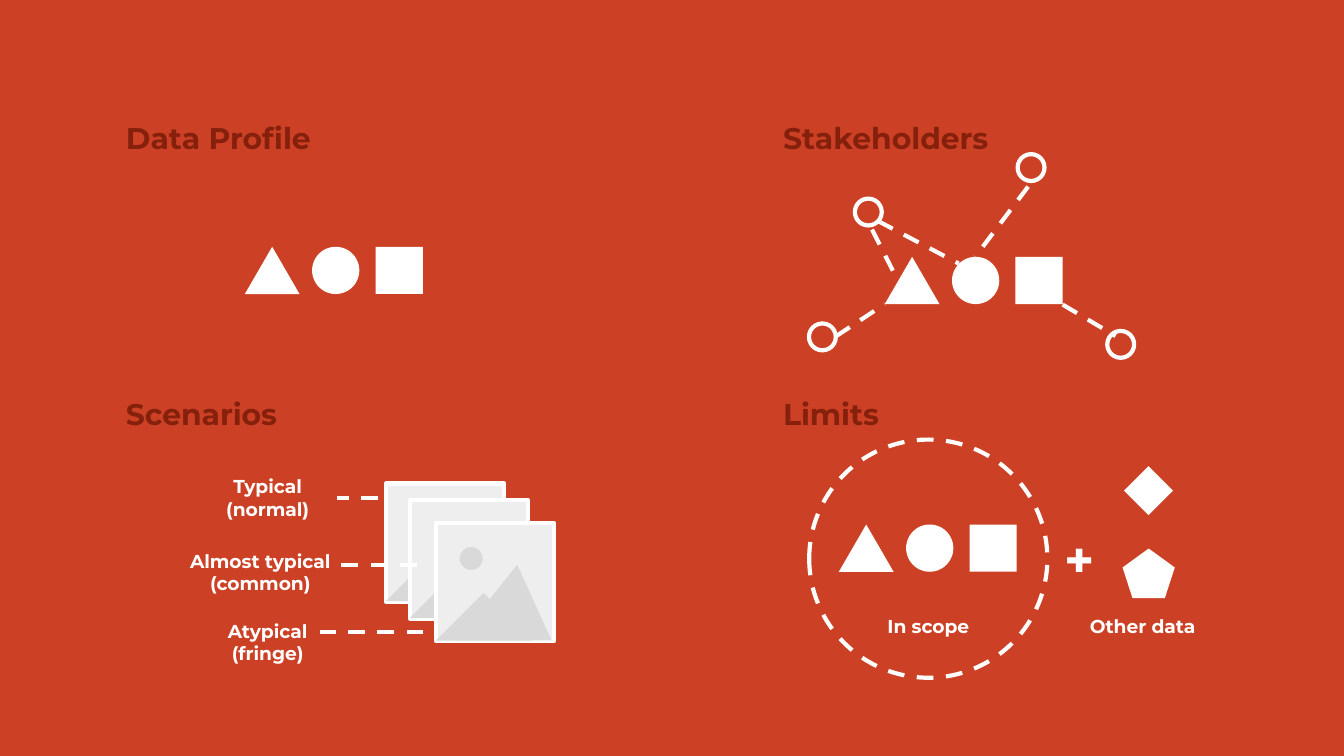
"""Build the four-part data overview slide."""
from lxml.etree import SubElement
from pptx import Presentation
from pptx.dml.color import RGBColor
from pptx.enum.dml import MSO_LINE as Dash
from pptx.enum.shapes import MSO_CONNECTOR as Link, MSO_SHAPE as Form
from pptx.enum.text import MSO_ANCHOR as Anchor, PP_ALIGN as Align
from pptx.oxml.ns import qn
from pptx.util import Pt

RED, DARK, WHITE = "CC4125", "85200C", "FFFFFF"
PALE, GRAY = "EEEEEE", "D9D9D9"


def color(code):
    return RGBColor.from_string(code)


class Deck:
    font = "Montserrat"
    weight = 2.25

    def __init__(self, wide, high):
        self.file = Presentation()
        self.file.slide_width, self.file.slide_height = Pt(wide), Pt(high)
        self.slide = self.file.slides.add_slide(self.file.slide_layouts[6])

    def stroke(self, line, dash=False):
        line.color.rgb = color(WHITE)
        line.width = Pt(self.weight)
        if dash:
            line.dash_style = Dash.DASH

    def shape(self, form, x, y, w, h, fill=WHITE, edge=False, dash=False, home=None):
        shapes = (home or self.slide).shapes
        item = shapes.add_shape(form, Pt(x), Pt(y), Pt(w), Pt(h))
        item.shadow.inherit = False
        if fill:
            item.fill.solid()
            item.fill.fore_color.rgb = color(fill)
        else:
            item.fill.background()
        if edge:
            self.stroke(item.line, dash)
        else:
            item.line.fill.background()
        return item

    def line(self, x1, y1, x2, y2):
        item = self.slide.shapes.add_connector(
            Link.STRAIGHT, Pt(x1), Pt(y1), Pt(x2), Pt(y2))
        self.stroke(item.line, True)
        SubElement(item._element.spPr, qn("a:effectLst"))

    def text(self, words, x, y, w, size=10, tint=WHITE, align=Align.CENTER):
        frame = self.slide.shapes.add_textbox(Pt(x), Pt(y), Pt(w), Pt(25.2)).text_frame
        frame.word_wrap = True
        frame.vertical_anchor = Anchor.MIDDLE
        frame.margin_left = frame.margin_right = Pt(7.2)
        frame.margin_top = frame.margin_bottom = Pt(7.2)
        frame.text = words
        for para in frame.paragraphs:
            para.alignment = align
            para.font.name, para.font.size = self.font, Pt(size)
            para.font.bold = True
            para.font.color.rgb = color(tint)

    def head(self, words, x, y):
        self.text(words, x, y, 126, 16, DARK, Align.LEFT)

    def trio(self, x, y):
        self.shape(Form.OVAL, x + 36, y, 25.3, 25.3)
        self.shape(Form.ISOSCELES_TRIANGLE, x, y, 29.3, 25.3)
        self.shape(Form.RECTANGLE, x + 70, y, 25.3, 25.3)

    def photo(self, x, y):
        group = self.slide.shapes.add_group_shape()
        self.shape(Form.RECTANGLE, x, y, 63.4, 63.4, PALE, True, home=group)
        self.shape(Form.ISOSCELES_TRIANGLE, x, y + 37.6, 51.1, 25.5, GRAY, home=group)
        peak = self.shape(Form.ISOSCELES_TRIANGLE, x + 10.9, y + 22.5, 51.1, 40.5,
                          GRAY, home=group)
        peak.adjustments[0] = 0.64
        self.shape(Form.OVAL, x + 12.8, y + 13, 12.3, 12.3, GRAY, home=group)


def main():
    wide, high = 720, 405
    left, right, top, low = 60.4, 412.4, 61.2, 208.8
    deck = Deck(wide, high)
    deck.shape(Form.RECTANGLE, 0, 0, wide, high, RED)

    deck.trio(131.2, 132.2)
    deck.head("Data Profile", left, top)

    deck.trio(474, 137.6)
    for x, y in ((458, 106.4), (433.4, 173.3), (545.2, 82.6), (593.2, 177.3)):
        deck.shape(Form.OVAL, x, y, 14.4, 14.4, None, True)
    for ends in ((447.8, 180.2, 474, 162.9), (569.3, 163.2, 597.6, 180),
                 (550.8, 100, 522.4, 137.6), (467.2, 123, 481, 150.3),
                 (470.3, 118.4, 513.6, 141.2)):
        deck.line(*ends)
    deck.head("Stakeholders", right, top)

    for x, y in ((206.8, 259), (219.6, 268), (233.5, 280.1)):
        deck.photo(x, y)
    deck.head("Scenarios", left, low)
    for words, x, y, w in (("Atypical\n(fringe)", 102, 331.4, 82.8),
                           ("Almost typical\n(common)", 88.3, 293.9, 102.2),
                           ("Typical\n(normal)", 102, 254, 82.8)):
        deck.text(words, x, y, w)
    for start, end, y in ((202.5, 180.6, 266.6), (223.2, 177.1, 302.8),
                          (226.8, 171.2, 338.4)):
        deck.line(start, y, end, y)

    deck.shape(Form.OVAL, 433.5, 235.5, 127.6, 127.6, None, True, True)
    deck.head("Limits", right, low)
    deck.trio(449.4, 281)
    deck.text("In scope", 464.2, 322.8, 66.2)
    deck.text("Other data", 566.8, 322.8, 90.7)
    deck.shape(Form.DIAMOND, 602.2, 249.8, 26.2, 26.2)
    deck.shape(Form.REGULAR_PENTAGON, 601.4, 293.9, 28, 26.6)
    deck.text("+", 532.8, 286.6, 90.7, 27)

    deck.file.save("out.pptx")


if __name__ == "__main__":
    main()
